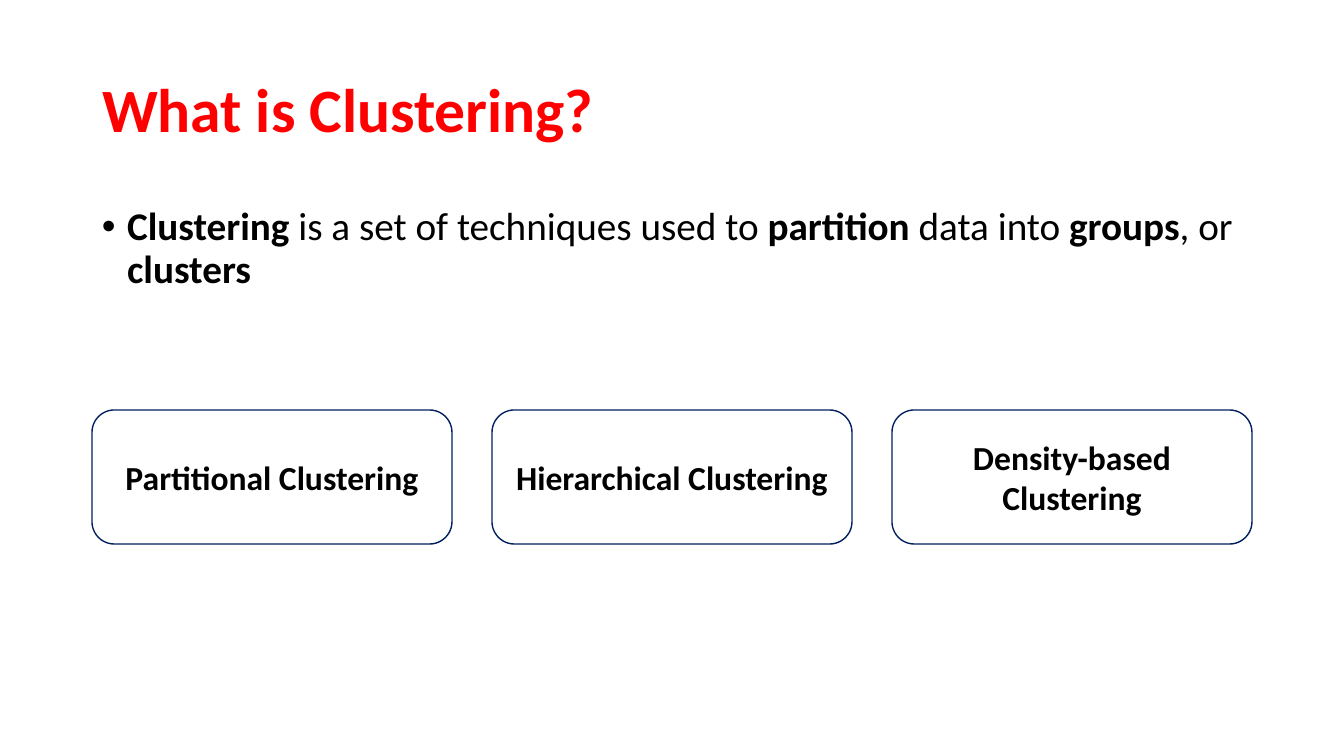
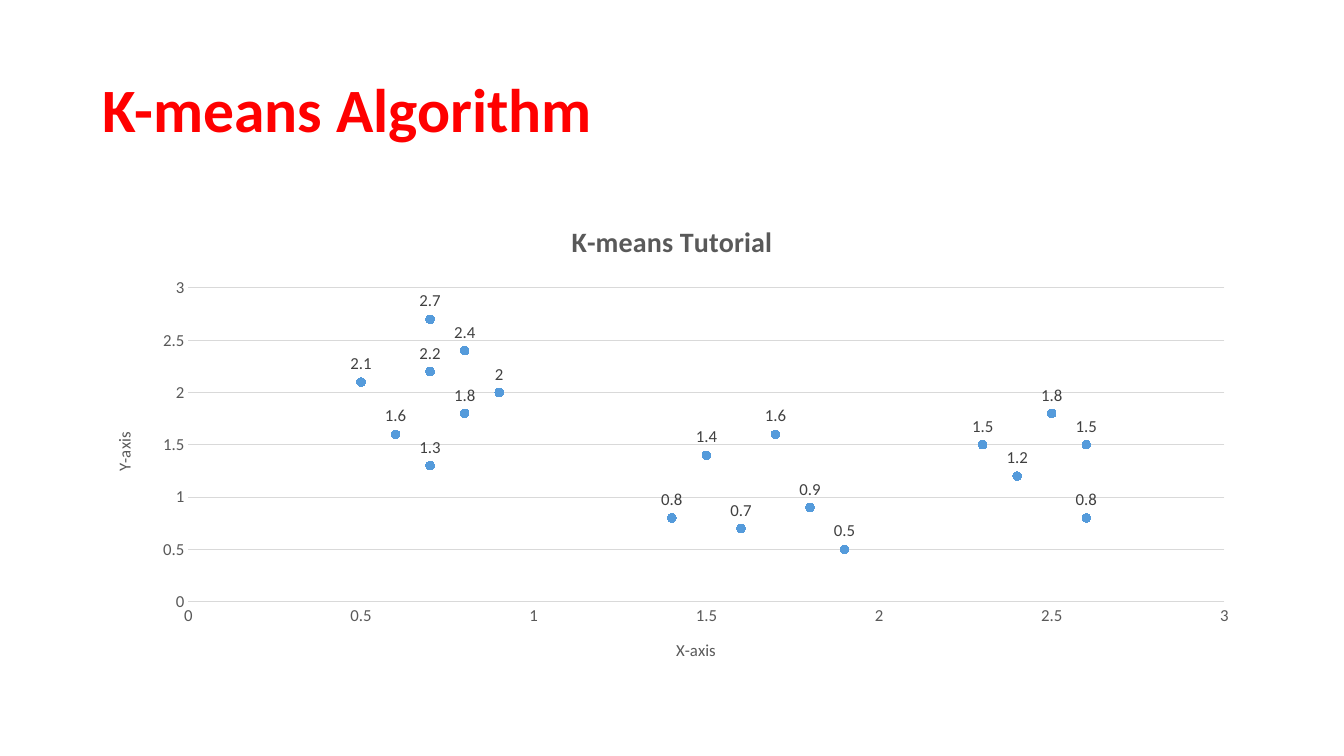
from lxml.etree import SubElement
from pptx import Presentation
from pptx.chart.data import XyChartData
from pptx.chart.datalabel import DataLabels
from pptx.dml.color import RGBColor
from pptx.enum.chart import (XL_CHART_TYPE, XL_LABEL_POSITION,
                             XL_MARKER_STYLE, XL_TICK_MARK)
from pptx.enum.shapes import MSO_SHAPE
from pptx.enum.text import MSO_ANCHOR, MSO_AUTO_SIZE, PP_ALIGN
from pptx.oxml.ns import qn
from pptx.util import Inches, Pt

FONT = "Calibri"
RED = RGBColor(0xFF, 0x00, 0x00)
BLACK = RGBColor(0x00, 0x00, 0x00)
WHITE = RGBColor(0xFF, 0xFF, 0xFF)
NAVY = RGBColor(0x00, 0x20, 0x60)
BLUE = RGBColor(0x55, 0x9B, 0xDB)
GRAY = RGBColor(0x59, 0x59, 0x59)
DARK = RGBColor(0x40, 0x40, 0x40)
PALE = RGBColor(0xD9, 0xD9, 0xD9)

WIDE, HIGH = 1344, 756
SCALE = Inches(40 / 3) / WIDE

TITLE = (92, 40, 1160, 146)
INTRO = (92, 202, 1160, 106)
CARDS = (92, 410, 1160, 134)
CHART = (92, 202, 1160, 480)
GAP = 40

WORDS = [("Clustering", True), (" is a set of techniques used to ", False),
         ("partition", True), (" data into ", False), ("groups", True),
         (", or ", False), ("clusters", True)]
KINDS = ["Partitional Clustering", "Hierarchical Clustering",
         "Density-based Clustering"]
POINTS = [(0.7, 2.7), (1.8, 0.9), (2.6, 0.8), (2.3, 1.5), (1.9, 0.5),
          (0.5, 2.1), (0.8, 2.4), (0.7, 1.3), (2.5, 1.8), (1.6, 0.7),
          (0.9, 2), (1.7, 1.6), (1.4, 0.8), (1.5, 1.4), (2.4, 1.2),
          (2.6, 1.5), (0.8, 1.8), (0.6, 1.6), (0.7, 2.2)]


def emu(*lengths):
    return [round(n * SCALE) for n in lengths]


def style(font, size, color, bold=False):
    font.name, font.size, font.bold = FONT, Pt(size), bold
    font.color.rgb = color


def add_slide(deck, text):
    slide = deck.slides.add_slide(deck.slide_layouts[5])
    title = slide.shapes.title
    title.left, title.top, title.width, title.height = emu(*TITLE)
    frame = title.text_frame
    frame.text = text
    frame.auto_size = MSO_AUTO_SIZE.NONE
    frame.vertical_anchor = MSO_ANCHOR.MIDDLE
    para = frame.paragraphs[0]
    para.alignment = PP_ALIGN.LEFT
    para.line_spacing = 0.9
    style(para.runs[0].font, 44, RED, True)
    return slide


def add_bullet(slide, box, words):
    frame = slide.shapes.add_textbox(*emu(*box)).text_frame
    frame.word_wrap = True
    para = frame.paragraphs[0]
    para.line_spacing = 0.9
    para.space_before = Pt(10)
    props = para._p.get_or_add_pPr()
    props.set("marL", str(Inches(0.25)))
    props.set("indent", str(-Inches(0.25)))
    SubElement(props, qn("a:buFont"), typeface="Arial")
    SubElement(props, qn("a:buChar"), char="•")
    for text, bold in words:
        run = para.add_run()
        run.text = text
        style(run.font, 28, BLACK, bold)


def add_cards(slide, box, names):
    left, top, width, height = box
    step = (width + GAP) // len(names)
    for i, name in enumerate(names):
        card = slide.shapes.add_shape(
            MSO_SHAPE.ROUNDED_RECTANGLE,
            *emu(left + i * step, top, step - GAP, height))
        card.shadow.inherit = False
        card.fill.solid()
        card.fill.fore_color.rgb = WHITE
        card.line.color.rgb = NAVY
        card.line.width = Pt(1)
        frame = card.text_frame
        frame.text = name
        frame.word_wrap = True
        frame.vertical_anchor = MSO_ANCHOR.MIDDLE
        para = frame.paragraphs[0]
        para.alignment = PP_ALIGN.CENTER
        style(para.runs[0].font, 24, BLACK, True)


def set_title(owner, text, size, bold=False):
    """Give a chart title or an axis title its text and font."""
    owner.text_frame.text = text
    style(owner.text_frame.paragraphs[0].runs[0].font, size, GRAY, bold)


def set_axis(axis, text):
    axis.minimum_scale, axis.maximum_scale, axis.major_unit = 0, 3, 0.5
    axis.major_tick_mark = axis.minor_tick_mark = XL_TICK_MARK.NONE
    style(axis.tick_labels.font, 12, GRAY)
    set_title(axis.axis_title, text, 12)


def add_scatter(slide, box, points):
    data = XyChartData()
    series = data.add_series("Series 1")
    for x, y in points:
        series.add_data_point(x, y)
    chart = slide.shapes.add_chart(
        XL_CHART_TYPE.XY_SCATTER, *emu(*box), data).chart
    style(chart.font, 10, BLACK)
    chart.has_legend = False
    set_title(chart.chart_title, "K-means Tutorial", 20, True)

    across, up = chart.category_axis, chart.value_axis
    set_axis(across, "X-axis")
    set_axis(up, "Y-axis")
    across.has_major_gridlines = False
    across.format.line.color.rgb = PALE
    across.format.line.width = Pt(1)
    up.format.line.fill.background()
    grid = up.major_gridlines.format.line
    grid.color.rgb = PALE
    grid.width = Pt(0.75)

    plot = chart.plots[0]
    plot.vary_by_categories = False
    dots = plot.series[0]
    marker = dots.marker
    marker.style, marker.size = XL_MARKER_STYLE.CIRCLE, 6
    marker.format.fill.solid()
    marker.format.fill.fore_color.rgb = BLUE
    marker.format.line.color.rgb = BLUE
    labels = DataLabels(dots._element.get_or_add_dLbls())
    labels.show_value = True
    labels.position = XL_LABEL_POSITION.ABOVE
    style(labels.font, 12, DARK)


def main():
    deck = Presentation()
    deck.slide_width, deck.slide_height = emu(WIDE, HIGH)
    slide = add_slide(deck, "What is Clustering?")
    add_bullet(slide, INTRO, WORDS)
    add_cards(slide, CARDS, KINDS)
    slide = add_slide(deck, "K-means Algorithm")
    add_scatter(slide, CHART, POINTS)
    deck.save("out.pptx")


if __name__ == "__main__":
    main()
